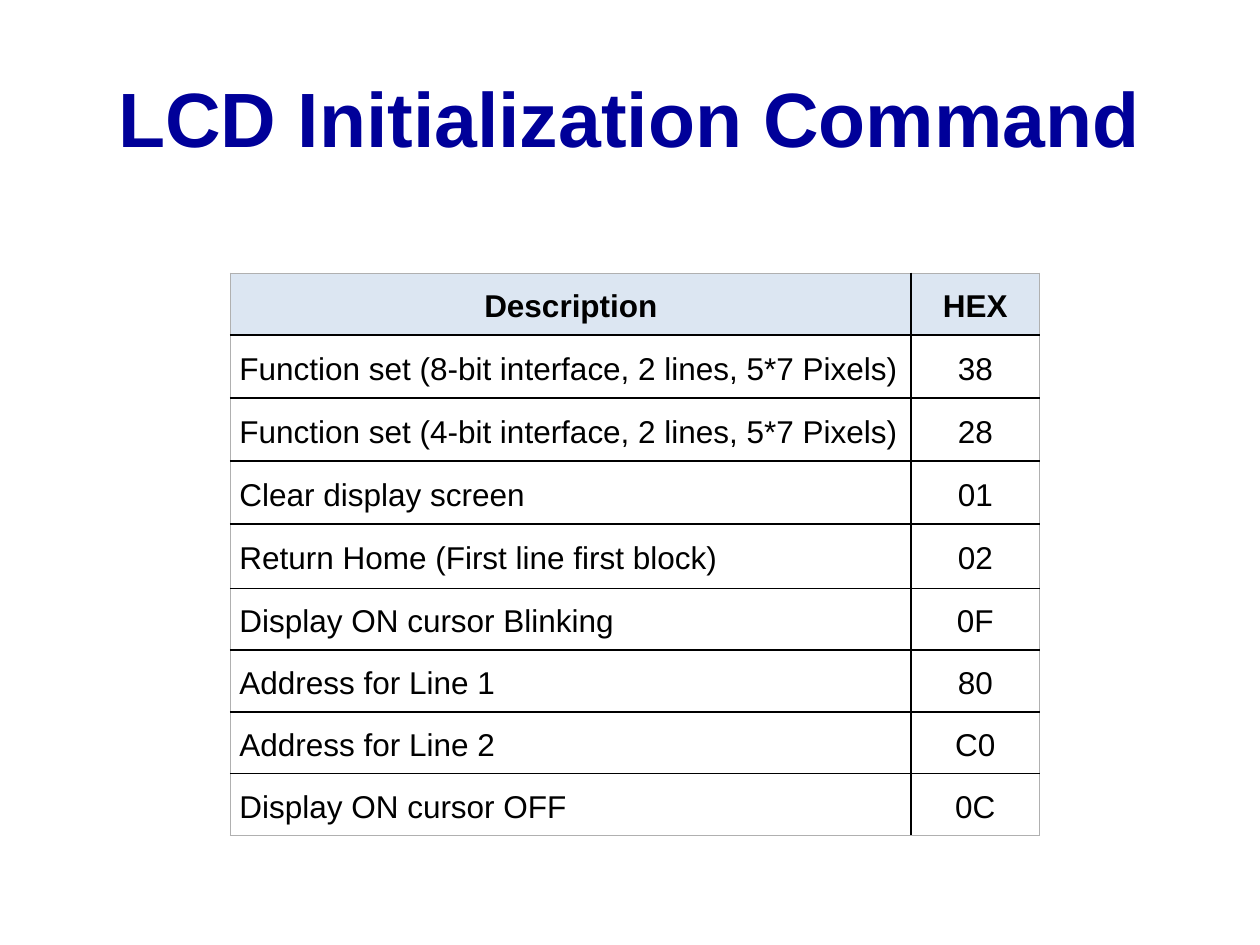
from lxml.etree import SubElement
from pptx import Presentation
from pptx.dml.color import RGBColor
from pptx.enum.text import MSO_ANCHOR as Anchor, PP_ALIGN as Align
from pptx.oxml.ns import qn
from pptx.util import Pt

COMMANDS = [
    ("Description", "HEX"),
    ("Function set (8-bit interface, 2 lines, 5*7 Pixels)", "38"),
    ("Function set (4-bit interface, 2 lines, 5*7 Pixels)", "28"),
    ("Clear display screen", "01"),
    ("Return Home (First line first block)", "02"),
    ("Display ON cursor Blinking", "0F"),
    ("Address for Line 1", "80"),
    ("Address for Line 2", "C0"),
    ("Display ON cursor OFF", "0C"),
]
COLUMN_WIDTHS = [388.8, 73.4]
ROW_HEIGHTS = [35.3, 36, 36, 36, 36.7] + [35.3] * 4
INNER_LINE, OUTER_LINE = "000000", "B0B0B0"


def color(hex_text):
    return RGBColor.from_string(hex_text)


def write(frame, text, size=18, bold=False, hex_color="000000",
          align=Align.LEFT, spacing=None):
    frame.word_wrap = True
    para = frame.paragraphs[0]
    para.alignment = align
    para.line_spacing = spacing
    span = para.add_run()
    span.text = text
    span.font.name = "Arial"
    span.font.size = Pt(size)
    span.font.bold = bold
    span.font.color.rgb = color(hex_color)


def set_borders(cell, outer_sides):
    properties = cell._tc.get_or_add_tcPr()
    for side in "LRTB":
        line = SubElement(properties, qn(f"a:ln{side}"), w=str(Pt(1)))
        fill = SubElement(line, qn("a:solidFill"))
        hex_color = OUTER_LINE if side in outer_sides else INNER_LINE
        SubElement(fill, qn("a:srgbClr"), val=hex_color)


def place_title(page, left, top, width, height):
    title = page.shapes.title
    title.left, title.top = Pt(left), Pt(top)
    title.width, title.height = Pt(width), Pt(height)
    title.text_frame.vertical_anchor = Anchor.MIDDLE
    write(title.text_frame, "LCD Initialization Command", size=44, bold=True,
          hex_color="000099", align=Align.CENTER)


def place_command_table(page, left, top, width, height):
    frame = page.shapes.add_table(len(COMMANDS), len(COLUMN_WIDTHS),
                                  Pt(left), Pt(top), Pt(width), Pt(height))
    table = frame.table
    table.horz_banding = False
    for column, column_width in zip(table.columns, COLUMN_WIDTHS):
        column.width = Pt(column_width)
    for row, row_height in zip(table.rows, ROW_HEIGHTS):
        row.height = Pt(row_height)

    last_row = len(COMMANDS) - 1
    for row_index, command in enumerate(COMMANDS):
        header = row_index == 0
        row_sides = "T" if header else "B" if row_index == last_row else ""
        for column_index, text in enumerate(command):
            cell = table.cell(row_index, column_index)
            set_borders(cell, row_sides + "LR"[column_index])
            if header:
                cell.fill.solid()
                cell.fill.fore_color.rgb = color("DCE6F2")
            else:
                cell.fill.background()
            cell.vertical_anchor = Anchor.MIDDLE
            cell.margin_left = cell.margin_right = Pt(5)
            cell.margin_top = cell.margin_bottom = Pt(0)
            centered = header or column_index == 1
            write(cell.text_frame, text, bold=header, spacing=1.15,
                  align=Align.CENTER if centered else Align.LEFT)


def main():
    deck = Presentation()
    deck.slide_width, deck.slide_height = Pt(720), Pt(540)
    page = deck.slides.add_slide(deck.slide_layouts[5])
    place_title(page, 36, 21.6, 648, 90)
    place_command_table(page, 131.8, 156.2, sum(COLUMN_WIDTHS), sum(ROW_HEIGHTS))
    deck.save("out.pptx")


if __name__ == "__main__":
    main()
